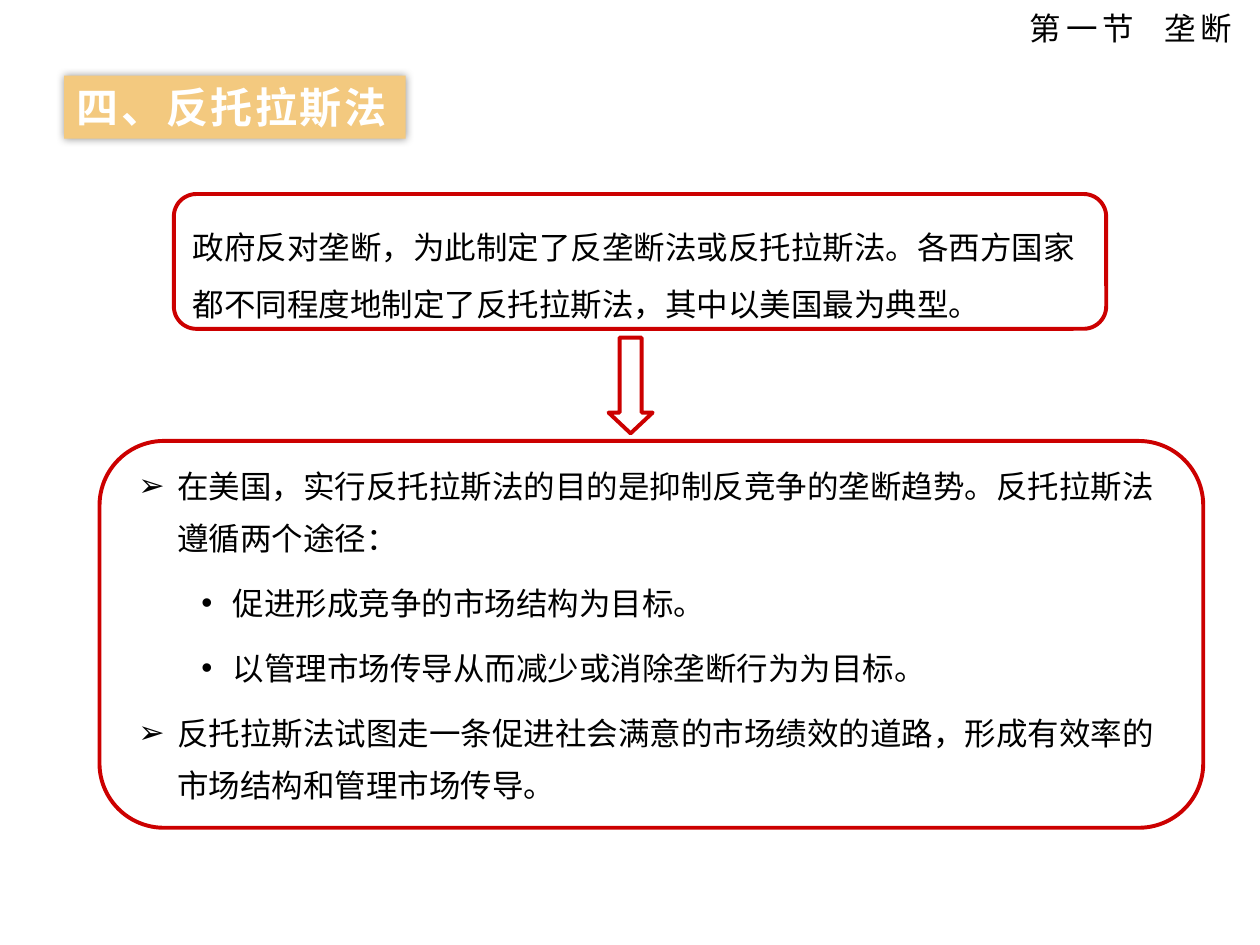
from lxml import etree
from pptx import Presentation
from pptx.dml.color import RGBColor
from pptx.enum.shapes import MSO_SHAPE
from pptx.enum.text import MSO_ANCHOR, PP_ALIGN
from pptx.oxml import parse_xml
from pptx.oxml.ns import qn
from pptx.util import Inches, Pt

ROUND = MSO_SHAPE.ROUNDED_RECTANGLE
ARROW = MSO_SHAPE.DOWN_ARROW
TOP, MIDDLE = MSO_ANCHOR.TOP, MSO_ANCHOR.MIDDLE
LEFT, RIGHT = PP_ALIGN.LEFT, PP_ALIGN.RIGHT

FONT = "Noto Sans CJK SC"
BLACK, WHITE, RED, GOLD = "000000", "FFFFFF", "CC0000", "F3C97F"
SPACE = "http://schemas.openxmlformats.org/drawingml/2006/main"
GLOW = (
    f'<a:effectLst xmlns:a="{SPACE}">'
    '<a:outerShdw blurRad="63500" dist="0" dir="0" algn="ctr" rotWithShape="0">'
    '<a:srgbClr val="000000"><a:alpha val="40000"/></a:srgbClr>'
    "</a:outerShdw></a:effectLst>"
)

HEADER = "第一节  垄断"
TITLE = "四、反托拉斯法"
INTRO = "政府反对垄断，为此制定了反垄断法或反托拉斯法。各西方国家都不同程度地制定了反托拉斯法，其中以美国最为典型。"
POINTS = [
    (1, "在美国，实行反托拉斯法的目的是抑制反竞争的垄断趋势。反托拉斯法遵循两个途径："),
    (2, "促进形成竞争的市场结构为目标。"),
    (2, "以管理市场传导从而减少或消除垄断行为为目标。"),
    (1, "反托拉斯法试图走一条促进社会满意的市场绩效的道路，形成有效率的市场结构和管理市场传导。"),
]
LEVELS = {1: ("➢", 0.81, -0.31), 2: ("•", 1.25, -0.25)}


def color(code):
    return RGBColor.from_string(code)


def apply(target, values):
    for name, value in values.items():
        setattr(target, name, value)


def place(shape, *box):
    sides = ("left", "top", "width", "height")
    apply(shape, dict(zip(sides, map(Inches, box))))


def write(para, text, size=18, tint=BLACK, bold=False, gap=0, **layout):
    apply(para, layout)
    run = para.add_run()
    run.text = text
    apply(run.font, {"name": FONT, "size": Pt(size), "bold": bold})
    run.font.color.rgb = color(tint)
    props = run.font._element
    etree.SubElement(props, qn("a:ea"), typeface=FONT)
    if gap:
        props.set("spc", str(int(gap * 100)))


def bullet(para, level):
    mark, margin, indent = LEVELS[level]
    para.level = level
    props = para._p.get_or_add_pPr()
    props.set("marL", str(Inches(margin)))
    props.set("indent", str(Inches(indent)))
    etree.SubElement(props, qn("a:buFont"), typeface="Arial")
    etree.SubElement(props, qn("a:buChar"), char=mark)


def outline(slide, kind, *box):
    shape = slide.shapes.add_shape(kind, *map(Inches, box))
    shape.shadow.inherit = False
    shape.fill.background()
    shape.line.color.rgb = color(RED)
    shape.line.width = Pt(2.25)
    return shape


def textbox(slide, anchor, *box):
    frame = slide.shapes.add_textbox(*map(Inches, box)).text_frame
    apply(frame, {"word_wrap": True, "vertical_anchor": anchor})
    return frame


def heading(slide):
    title = slide.shapes.title
    place(title, 0.51, 0.6, 2.71, 0.5)
    title.fill.solid()
    title.fill.fore_color.rgb = color(GOLD)
    title._element.spPr.append(parse_xml(GLOW))
    frame = title.text_frame
    apply(frame, {"word_wrap": False, "vertical_anchor": MIDDLE})
    write(frame.paragraphs[0], TITLE, 24, WHITE, True, 1.5, alignment=LEFT)


def intro(slide):
    frame = outline(slide, ROUND, 1.38, 1.54, 7.4, 1.07).text_frame
    apply(frame, {"word_wrap": True, "vertical_anchor": TOP, "margin_top": Inches(0.07)})
    write(frame.paragraphs[0], INTRO, alignment=LEFT, line_spacing=Pt(32.5))


def points(slide):
    outline(slide, ROUND, 0.79, 3.5, 8.76, 3.07)
    frame = textbox(slide, TOP, 0.5, 3.54, 9, 2.84)
    for index, (level, text) in enumerate(POINTS):
        para = frame.add_paragraph() if index else frame.paragraphs[0]
        bullet(para, level)
        space = Pt(7 if index else 0)
        write(para, text, line_spacing=Pt(30), space_before=space)


def main():
    deck = Presentation()
    apply(deck, {"slide_width": Inches(10), "slide_height": Inches(7.5)})
    slide = deck.slides.add_slide(deck.slide_layouts[5])
    points(slide)
    heading(slide)
    intro(slide)
    arrow = outline(slide, ARROW, 4.83, 2.68, 0.35, 0.76)
    arrow.adjustments[1] = 0.47
    header = textbox(slide, MIDDLE, 0.88, 0.01, 9, 0.42)
    write(header.paragraphs[0], HEADER, gap=3, alignment=RIGHT)
    deck.save("out.pptx")


if __name__ == "__main__":
    main()
